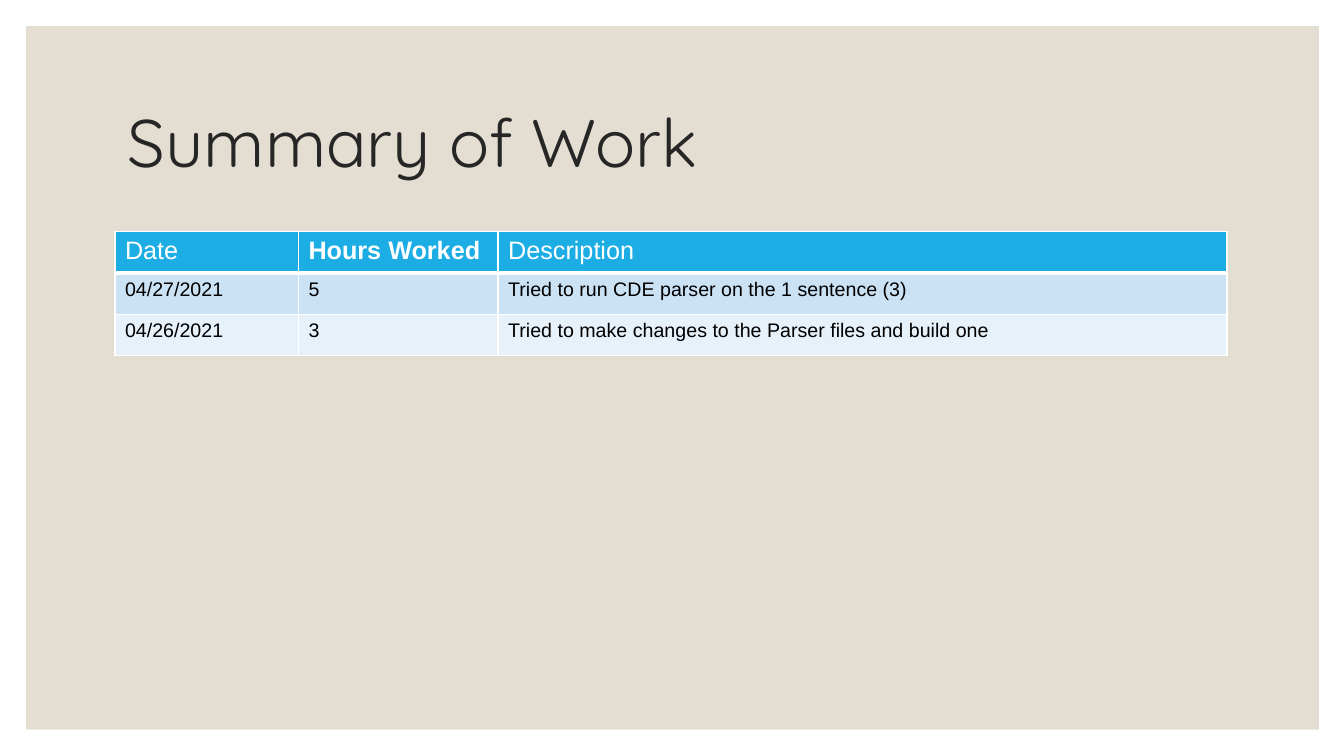
import pptx
import pptx.dml.color
import pptx.enum.shapes
import pptx.enum.text
import pptx.oxml
import pptx.oxml.ns
import pptx.util
from pptx.util import Inches


def color(value):
    return pptx.dml.color.RGBColor.from_string(value)


class SlideBuilder:
    TITLE = {"name": "Quicksand", "size": pptx.util.Pt(48), "bold": False}
    HEADER = {"name": "Arial", "size": pptx.util.Pt(18), "bold": False}
    BODY = {"name": "Arial", "size": pptx.util.Pt(14), "bold": False}
    HEADER_FILL = "1CADE4"
    BAND_FILLS = ("CBE2F5", "E7F1FA")
    BORDER = "FFFFFF"

    def __init__(self, slide):
        self.slide = slide

    def add_text(self, paragraph, text, values, font_color):
        run = paragraph.add_run()
        run.text = text
        for name, value in values.items():
            setattr(run.font, name, value)
        run.font.color.rgb = color(font_color)

    def panel(self, left, top, width, height, fill):
        shape = self.slide.shapes.add_shape(
            pptx.enum.shapes.MSO_SHAPE.RECTANGLE,
            Inches(left), Inches(top), Inches(width), Inches(height))
        shape.shadow.inherit = False
        shape.fill.solid()
        shape.fill.fore_color.rgb = color(fill)
        shape.line.fill.background()

    def title(self, left, top, width, height, text):
        shape = self.slide.shapes.add_textbox(
            Inches(left), Inches(top), Inches(width), Inches(height))
        frame = shape.text_frame
        frame.word_wrap = True
        frame.vertical_anchor = pptx.enum.text.MSO_ANCHOR.MIDDLE
        paragraph = frame.paragraphs[0]
        paragraph.line_spacing = 0.9
        self.add_text(paragraph, text, self.TITLE, "262626")

    def borders(self, cell, top, bottom):
        properties = cell._tc.get_or_add_tcPr()
        widths = {"lnL": 1, "lnR": 1, "lnT": top, "lnB": bottom}
        for index, (tag, width) in enumerate(widths.items()):
            properties.insert(index, pptx.oxml.parse_xml(
                f'<a:{tag} {pptx.oxml.ns.nsdecls("a")} w="{pptx.util.Pt(width)}">'
                f'<a:solidFill><a:srgbClr val="{self.BORDER}"/></a:solidFill></a:{tag}>'))

    def table(self, left, top, widths, row_height, rows, bold_headers):
        table = self.slide.shapes.add_table(
            len(rows), len(widths), Inches(left), Inches(top),
            Inches(sum(widths)), Inches(row_height * len(rows))).table
        for column, width in zip(table.columns, widths):
            column.width = Inches(width)
        for row_index, texts in enumerate(rows):
            table.rows[row_index].height = Inches(row_height)
            is_header = row_index == 0
            fill = self.HEADER_FILL if is_header else self.BAND_FILLS[(row_index - 1) % 2]
            for column_index, text in enumerate(texts):
                cell = table.cell(row_index, column_index)
                cell.fill.solid()
                cell.fill.fore_color.rgb = color(fill)
                self.borders(cell, 3 if row_index == 1 else 1, 3 if is_header else 1)
                values = dict(self.HEADER if is_header else self.BODY)
                values["bold"] = is_header and text in bold_headers
                self.add_text(cell.text_frame.paragraphs[0], text, values,
                              "FFFFFF" if is_header else "000000")


def main():
    presentation = pptx.Presentation()
    presentation.slide_width = Inches(13.33)
    presentation.slide_height = Inches(7.5)
    slide = presentation.slides.add_slide(presentation.slide_layouts[6])
    builder = SlideBuilder(slide)
    builder.panel(0.26, 0.26, 12.82, 6.98, "E3DED1")
    builder.title(1.17, 0.7, 11, 1.5, "Summary of Work")
    builder.table(1.14, 2.3, (1.82, 1.98, 7.23), 0.41, (
        ("Date", "Hours Worked", "Description"),
        ("04/27/2021", "5", "Tried to run CDE parser on the 1 sentence (3)"),
        ("04/26/2021", "3", "Tried to make changes to the Parser files and build one"),
    ), ("Hours Worked",))
    presentation.save("out.pptx")


if __name__ == "__main__":
    main()
